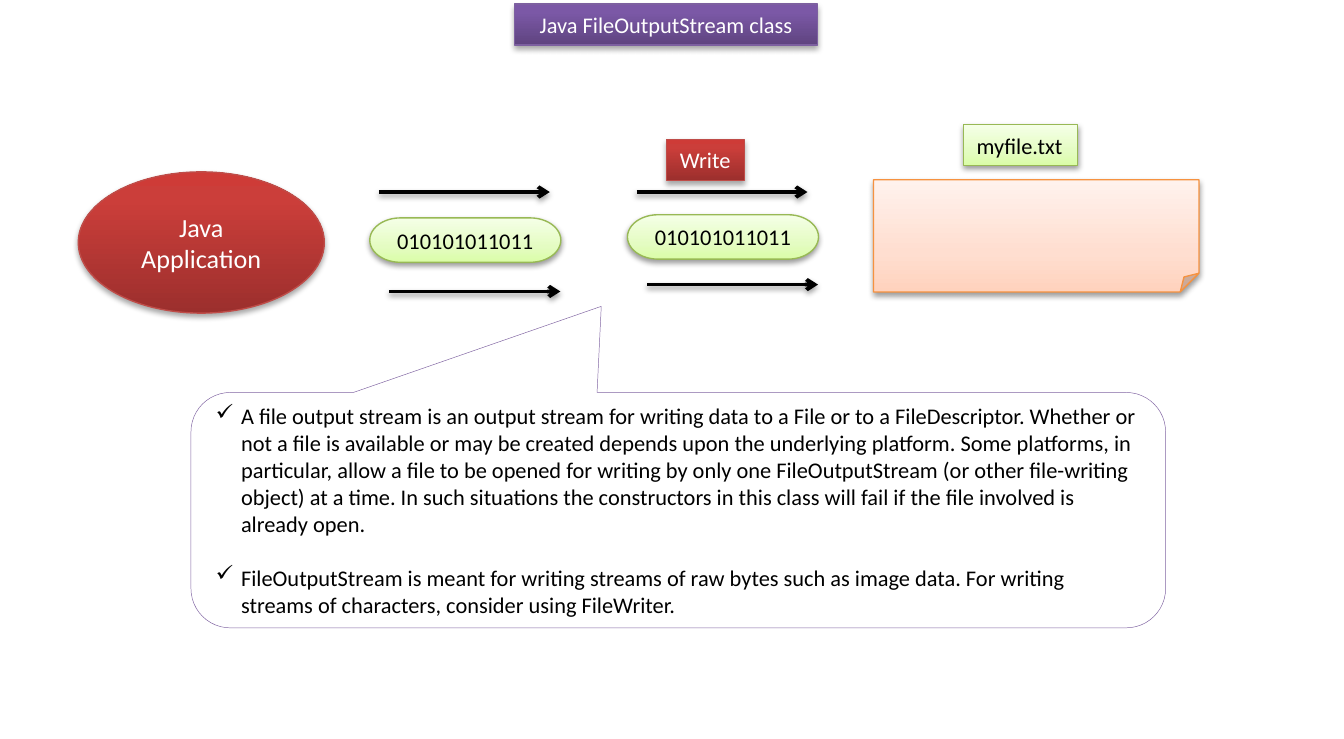
from lxml import etree
from pptx import Presentation
from pptx import util as u
from pptx.dml.color import RGBColor
from pptx.enum import shapes, text
from pptx.oxml import parse_xml
from pptx.oxml.ns import nsdecls, qn

KIND = shapes.MSO_SHAPE
ALIGN = text.PP_ALIGN
RED = dict(stops=[(0, "9C2F2D"), (80, "CB3E3A"), (100, "CE3B37")],
           edge="BF4C48", ink="FFFFFF", shade=(35, 1.8))
PURPLE = dict(stops=[(0, "5F4480"), (80, "7B58A6"), (100, "7C57A8")],
              edge="7D60A0", ink="FFFFFF", shade=(35, 1.8))
GREEN = dict(stops=[(0, "DAFDA7"), (35, "E4FCC2"), (100, "F5FFE7")],
             edge="98B955", ink="000000", shade=(38, 1.6))
PEACH = dict(stops=[(0, "FFD2BD"), (35, "FFDED0"), (100, "FFF2ED")],
             edge="F69240", ink="000000", shade=(38, 1.6))
BITS = "010101011011"
NOTES = [
    "A file output stream is an output stream for writing data to a File or to a "
    "FileDescriptor. Whether or not a file is available or may be created depends "
    "upon the underlying platform. Some platforms, in particular, allow a file to be "
    "opened for writing by only one FileOutputStream (or other file-writing object) "
    "at a time. In such situations the constructors in this class will fail if the "
    "file involved is already open.",
    "FileOutputStream is meant for writing streams of raw bytes such as image data. "
    "For writing streams of characters, consider using FileWriter.",
]


def color(code):
    return RGBColor.from_string(code)


def apply(obj, form):
    for key, value in form.items():
        setattr(obj, key, value)


def shadow(props, alpha, dist):
    """Put a soft black shadow straight below; dist is in points."""
    for old in props.findall(qn("a:effectLst")):
        props.remove(old)
    props.append(parse_xml(
        f'<a:effectLst {nsdecls("a")}><a:outerShdw blurRad="{u.Pt(3.1)}" '
        f'dist="{u.Pt(dist)}" dir="5400000" rotWithShape="0"><a:srgbClr val="000000">'
        f'<a:alpha val="{alpha * 1000}"/></a:srgbClr></a:outerShdw></a:effectLst>'))


def shade(shape, stops):
    """Fill with a gradient that runs from bottom to top."""
    shape.fill.gradient()
    grad = shape.fill._xPr.find(qn("a:gradFill"))
    for part in list(grad):
        grad.remove(part)
    row = etree.SubElement(grad, qn("a:gsLst"))
    for pos, code in stops:
        stop = etree.SubElement(row, qn("a:gs"), pos=str(pos * 1000))
        etree.SubElement(stop, qn("a:srgbClr"), val=code)
    etree.SubElement(grad, qn("a:lin"), ang="16200000", scaled="0")


def write(para, words, size, ink, align):
    para.text = words
    para.alignment = align
    apply(para.font, dict(name="Calibri", size=u.Pt(size)))
    para.font.color.rgb = color(ink)


def block(slide, kind, box, look, words="", size=12, align=ALIGN.CENTER, **frame):
    shape = slide.shapes.add_shape(kind, *map(u.Cm, box))
    shape.shadow.inherit = False
    shade(shape, look["stops"])
    shape.line.color.rgb = color(look["edge"])
    shape.line.width = u.Pt(0.75)
    shadow(shape._element.spPr, *look["shade"])
    if words:
        apply(shape.text_frame, dict(word_wrap=True) | frame)
        write(shape.text_frame.paragraphs[0], words, size, look["ink"], align)


def tag(slide, box, look, words):
    block(slide, KIND.RECTANGLE, box, look, words, align=ALIGN.LEFT, word_wrap=False,
          auto_size=text.MSO_AUTO_SIZE.SHAPE_TO_FIT_TEXT)


def arrow(slide, x, y, wide=3.23):
    line = slide.shapes.add_connector(
        shapes.MSO_CONNECTOR.STRAIGHT, *map(u.Cm, (x, y, x + wide, y)))
    line.line.color.rgb = color("000000")
    line.line.width = u.Pt(2)
    etree.SubElement(line.line._get_or_add_ln(), qn("a:tailEnd"), type="arrow")
    shadow(line._element.spPr, 38, 1.6)


def stream(slide, x, y, drop, low):
    """Bits between two arrows; drop and low count from the upper arrow."""
    arrow(slide, x + 0.17, y)
    block(slide, KIND.FLOWCHART_TERMINATOR, (x, y + drop, 3.61, 0.84), GREEN, BITS)
    arrow(slide, x + 0.37, y + low)


def target(slide, x, y):
    tag(slide, (x + 1.7, y, 2.16, 0.77), GREEN, "myfile.txt")
    block(slide, KIND.FOLDED_CORNER, (x, y + 1.04, 6.15, 2.12), PEACH)


def note(slide, box):
    shape = slide.shapes.add_shape(KIND.ROUNDED_RECTANGULAR_CALLOUT, *map(u.Cm, box))
    shape.shadow.inherit = False
    for i, value in enumerate((-0.079, -0.866, 0.167)):
        shape.adjustments[i] = value
    shape.fill.solid()
    shape.fill.fore_color.rgb = color("FFFFFF")
    shape.line.color.rgb = color("8064A2")
    shape.line.width = u.Pt(0.25)
    frame = shape.text_frame
    apply(frame, dict(word_wrap=True, vertical_anchor=text.MSO_ANCHOR.MIDDLE))
    for i, words in enumerate(NOTES):
        para = frame.add_paragraph() if i else frame.paragraphs[0]
        if i:
            para.space_before = u.Pt(14.6)
        props = para._p.get_or_add_pPr()
        apply_indent = u.Cm(0.48)
        props.set("marL", str(apply_indent))
        props.set("indent", str(-apply_indent))
        etree.SubElement(props, qn("a:buFont"), typeface="Wingdings")
        etree.SubElement(props, qn("a:buChar"), char="ü")
        write(para, words, 12, "000000", ALIGN.LEFT)


def main():
    deck = Presentation()
    apply(deck, dict(slide_width=u.Cm(25.4), slide_height=u.Cm(13.97)))
    slide = deck.slides.add_slide(deck.slide_layouts[6])
    block(slide, KIND.RECTANGLE, (9.73, 0.08, 5.72, 0.77), PURPLE,
          "Java FileOutputStream class",
          auto_size=text.MSO_AUTO_SIZE.SHAPE_TO_FIT_TEXT)
    block(slide, KIND.OVAL, (1.48, 3.25, 4.65, 2.67), RED, "Java Application", 14)
    stream(slide, 6.99, 3.63, 0.49, 1.88)
    stream(slide, 11.86, 3.63, 0.43, 1.75)
    target(slide, 16.51, 2.36)
    note(slide, (3.61, 7.42, 18.42, 4.45))
    tag(slide, (12.6, 2.64, 1.47, 0.77), RED, "Write")
    deck.save("out.pptx")


if __name__ == "__main__":
    main()
